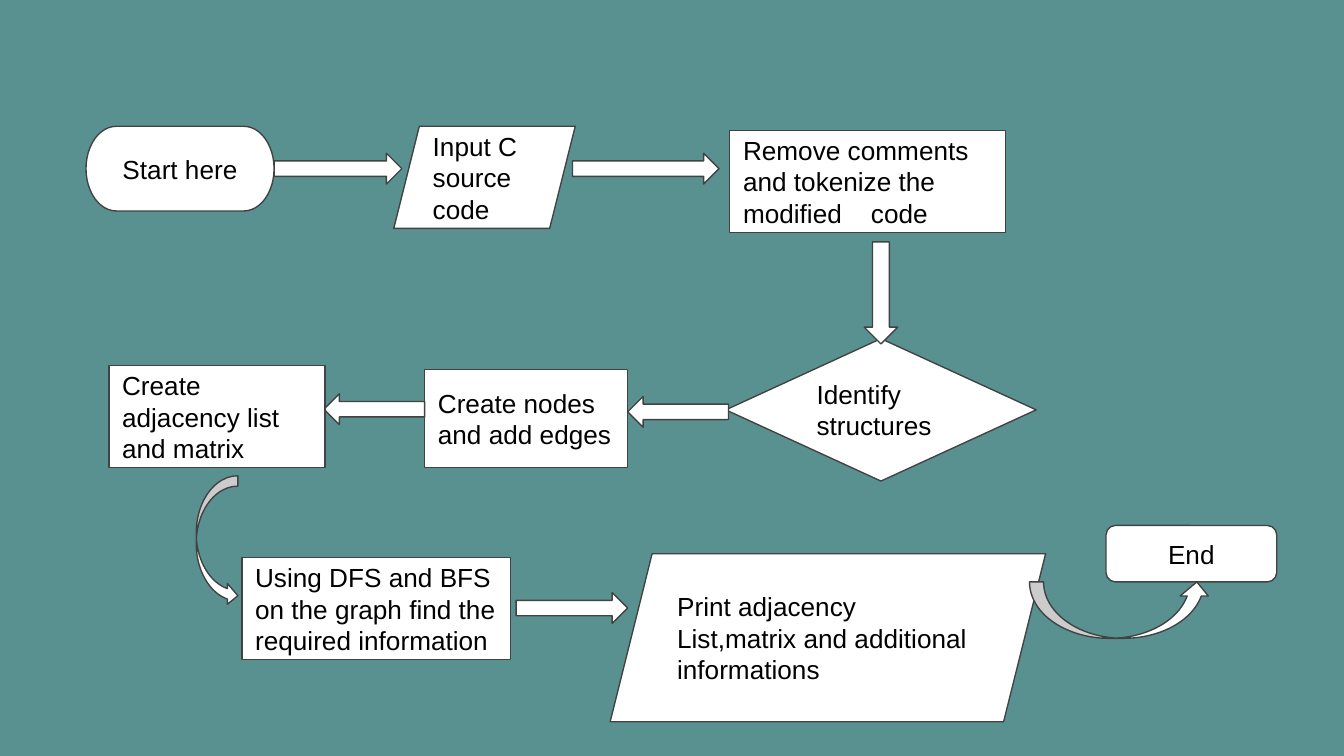
from pptx import Presentation
from pptx.dml.color import RGBColor
from pptx.enum.shapes import MSO_SHAPE
from pptx.enum.text import MSO_ANCHOR, PP_ALIGN
from pptx.util import Inches, Pt

RECT = MSO_SHAPE.RECTANGLE
ROUNDED = MSO_SHAPE.ROUNDED_RECTANGLE
TERMINATOR = MSO_SHAPE.FLOWCHART_TERMINATOR
DECISION = MSO_SHAPE.FLOWCHART_DECISION
DATA = MSO_SHAPE.PARALLELOGRAM
RIGHT = MSO_SHAPE.RIGHT_ARROW
LEFT_ARROW = MSO_SHAPE.LEFT_ARROW
DOWN = MSO_SHAPE.DOWN_ARROW
CURVED_RIGHT = MSO_SHAPE.CURVED_RIGHT_ARROW
CURVED_UP = MSO_SHAPE.CURVED_UP_ARROW
MIDDLE = MSO_ANCHOR.MIDDLE
LEFT, CENTER = PP_ALIGN.LEFT, PP_ALIGN.CENTER

COLORS = {"background": "599191", "fill": "FFFFFF", "line": "424242", "text": "000000"}
FONT, SIZE = "Arial", 14
INSET = 0.1
ARROW_H = 0.23
STEP_H = 0.76


def color(name):
    return RGBColor.from_string(COLORS[name])


def add_outlined(s, kind, x, y, w, h=ARROW_H):
    """Add a white outlined shape without text, by default as high as an arrow."""
    sp = s.shapes.add_shape(kind, Inches(x), Inches(y), Inches(w), Inches(h))
    sp.shadow.inherit = False
    sp.fill.solid()
    sp.fill.fore_color.rgb = color("fill")
    sp.line.color.rgb = color("line")
    sp.line.width = Pt(0.75)
    return sp


def add_step(s, kind, text, x, y, w, h=STEP_H, align=LEFT):
    tf = add_outlined(s, kind, x, y, w, h).text_frame
    tf.word_wrap = True
    tf.vertical_anchor = MIDDLE
    tf.margin_left = tf.margin_right = Inches(INSET)
    tf.margin_top = tf.margin_bottom = Inches(INSET)
    tf.text = text
    p = tf.paragraphs[0]
    p.alignment = align
    font = p.runs[0].font
    font.name = FONT
    font.size = Pt(SIZE)
    font.color.rgb = color("text")


def add_input_row(s, x, y):
    add_outlined(s, RIGHT, x + 1.4, y + 0.2, 0.95)
    add_step(s, DATA, "Input C source code", x + 2.29, y, 1.35)
    add_step(s, TERMINATOR, "Start here", x, y, 1.4, 0.63, CENTER)
    add_outlined(s, RIGHT, x + 3.62, y + 0.2, 1.09)
    add_step(s, RECT, "Remove comments and tokenize the modified    code",
             x + 4.79, y + 0.03, 2.05)


def add_graph_row(s, x, y):
    """Add the steps that run from right to left, entered from above."""
    add_step(s, DECISION, "Identify structures", x + 4.59, y + 0.72, 2.31, 1.06)
    add_outlined(s, DOWN, x + 5.62, y, 0.25, 0.76)
    add_outlined(s, LEFT_ARROW, x + 3.86, y + 1.15, 0.75)
    add_step(s, RECT, "Create nodes and add edges", x + 2.35, y + 0.95, 1.51, 0.73)
    add_outlined(s, LEFT_ARROW, x + 1.6, y + 1.13, 0.75)
    add_step(s, RECT, "Create adjacency list and matrix", x, y + 0.92, 1.61)


def add_output_row(s, x, y):
    add_outlined(s, CURVED_RIGHT, x, y, 0.31, 0.97)
    add_step(s, RECT, "Using DFS and BFS on the graph find the required information",
             x + 0.34, y + 0.61, 2)
    add_outlined(s, RIGHT, x + 2.38, y + 0.87, 0.83)
    add_step(s, DATA, "Print adjacency List,matrix and additional informations",
             x + 3.08, y + 0.58, 3.24, 1.25)
    add_outlined(s, CURVED_UP, x + 6.2, y + 0.79, 1.35, 0.42)
    add_step(s, ROUNDED, "End", x + 6.77, y + 0.37, 1.27, 0.42, CENTER)


def main():
    prs = Presentation()
    prs.slide_width = Inches(10)
    prs.slide_height = prs.slide_width * 9 // 16
    s = prs.slides.add_slide(prs.slide_layouts[6])
    s.background.fill.solid()
    s.background.fill.fore_color.rgb = color("background")
    add_input_row(s, 0.64, 0.94)
    add_graph_row(s, 0.81, 1.8)
    add_output_row(s, 1.46, 3.54)
    prs.save("out.pptx")


if __name__ == "__main__":
    main()
